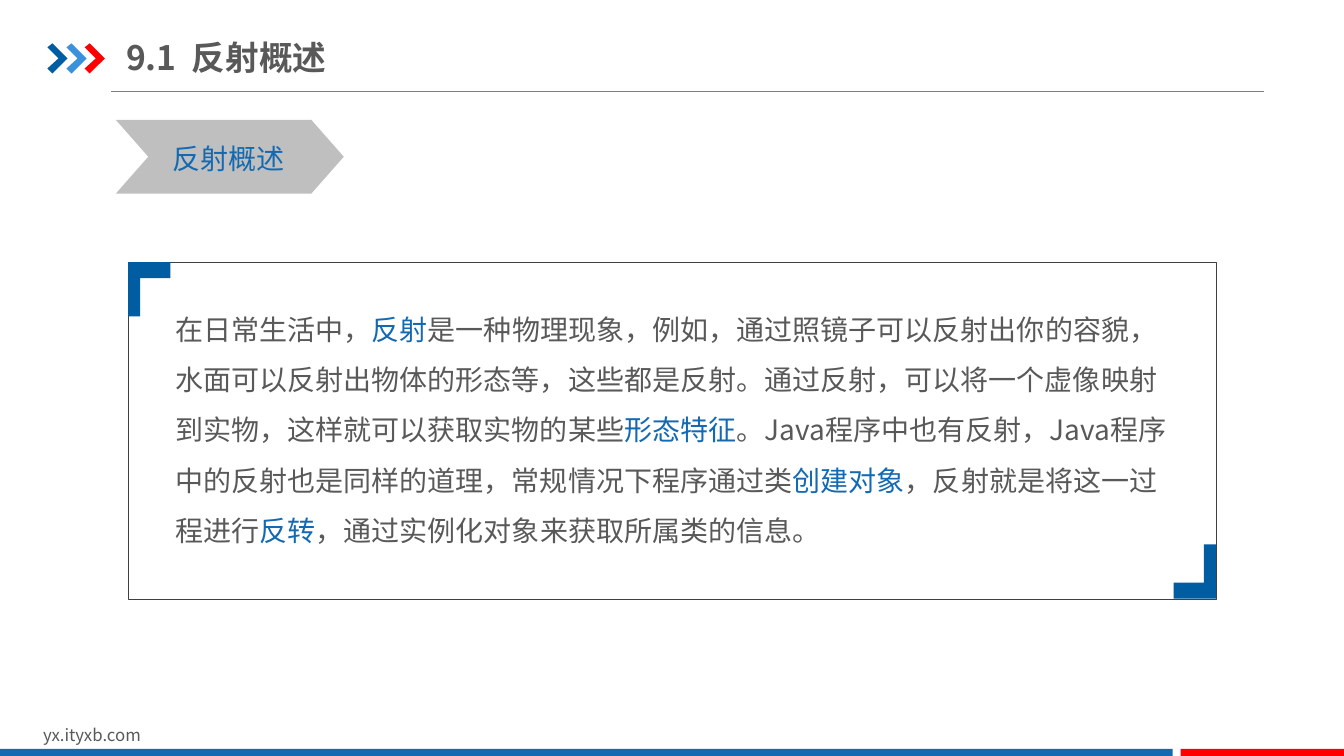
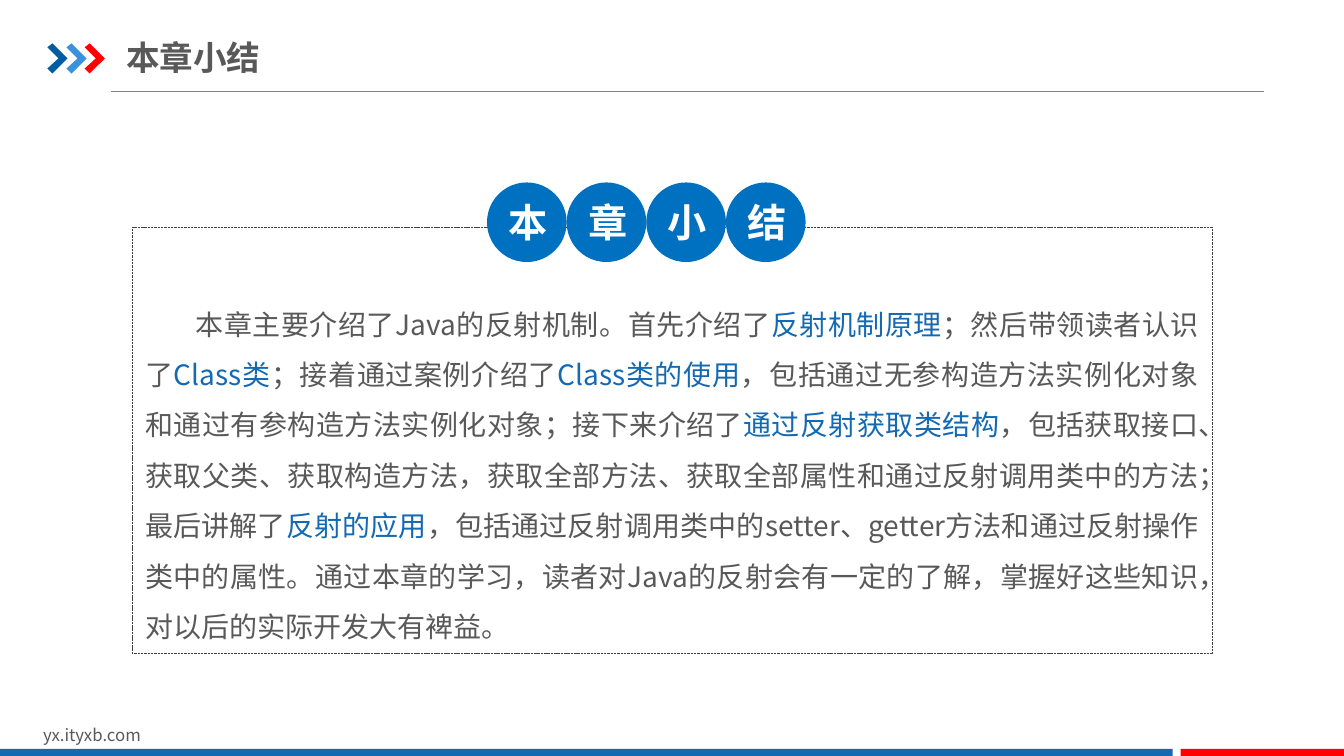
"""Build two slides on Java reflection: an overview and a chapter summary."""

import dataclasses
import typing

import pptx
import pptx.dml.color
import pptx.enum.dml
import pptx.enum.shapes
import pptx.enum.text
import pptx.oxml
import pptx.oxml.ns
import pptx.util

SCALE = 9144
SHAPE = pptx.enum.shapes.MSO_SHAPE
ALIGN = pptx.enum.text.PP_ALIGN
ANCHOR = pptx.enum.text.MSO_ANCHOR
AUTO_SIZE = pptx.enum.text.MSO_AUTO_SIZE


@dataclasses.dataclass(frozen=True)
class Theme:
    font: str = "Noto Sans CJK SC"
    text: str = "595959"
    keyword: str = "1369B2"
    navy: str = "005DA2"
    sky: str = "3992DB"
    red: str = "FF0000"
    badge: str = "0070C0"
    tab: str = "BFBFBF"
    rule: str = "808080"
    frame: str = "404040"
    white: str = "FFFFFF"
    title_size: int = 24
    badge_size: int = 28
    body_size: int = 20
    footer_size: int = 12


class Box(typing.NamedTuple):
    left: int
    top: int
    width: int
    height: int


class Block(typing.NamedTuple):
    box: Box
    fill: str


class Chevron(typing.NamedTuple):
    left: int
    fill: str


class Bracket(typing.NamedTuple):
    x: int
    y: int
    direction: int


THEME = Theme()
CHEVRONS = (Chevron(47, THEME.navy), Chevron(66, THEME.sky), Chevron(84, THEME.red))
CHEVRON_OUTLINE = ((0, 4), (5, 0), (20, 15), (5, 30), (0, 25), (11, 15))
BRACKET_OUTLINE = ((0, 0), (42, 0), (42, 16), (12, 16), (12, 54), (0, 54))
FOOTER_BANDS = (
    Block(Box(0, 743, 1163, 9), THEME.keyword),
    Block(Box(1171, 743, 163, 9), THEME.red),
)

OVERVIEW = (
    "在日常生活中，",
    "反射",
    "是一种物理现象，例如，通过照镜子可以反射出你的容貌，水面可以反射出物体的形态等，"
    "这些都是反射。通过反射，可以将一个虚像映射到实物，这样就可以获取实物的某些",
    "形态特征",
    "。Java程序中也有反射，Java程序中的反射也是同样的道理，常规情况下程序通过类",
    "创建对象",
    "，反射就是将这一过程进行",
    "反转",
    "，通过实例化对象来获取所属类的信息。",
)
SUMMARY = (
    "本章主要介绍了Java的反射机制。首先介绍了",
    "反射机制原理",
    "；然后带领读者认识了",
    "Class类",
    "；接着通过案例介绍了",
    "Class类的使用",
    "，包括通过无参构造方法实例化对象和通过有参构造方法实例化对象；接下来介绍了",
    "通过反射获取类结构",
    "，包括获取接口、获取父类、获取构造方法，获取全部方法、获取全部属性和通过反射调用类中的方法；最后讲解了",
    "反射的应用",
    "，包括通过反射调用类中的setter、getter方法和通过反射操作类中的属性。"
    "通过本章的学习，读者对Java的反射会有一定的了解，掌握好这些知识，对以后的实际开发大有裨益。",
)


def px(length: int) -> pptx.util.Emu:
    return pptx.util.Emu(length * SCALE)


def rgb(value: str) -> pptx.dml.color.RGBColor:
    return pptx.dml.color.RGBColor.from_string(value)


def assign(target: typing.Any, values: dict[str, typing.Any]) -> None:
    for name, value in values.items():
        setattr(target, name, value)


def format_frame(frame, inset_x: int = 10, inset_y: int = 5, **values) -> None:
    insets = {
        "margin_left": px(inset_x),
        "margin_right": px(inset_x),
        "margin_top": px(inset_y),
        "margin_bottom": px(inset_y),
    }
    assign(frame, {"word_wrap": True, "auto_size": AUTO_SIZE.NONE} | insets | values)


def add_run(paragraph, text: str, size: int, color: str, bold: bool = False) -> None:
    run = paragraph.add_run()
    run.text = text
    run.font.color.rgb = rgb(color)
    assign(run.font, {"size": pptx.util.Pt(size), "bold": bold, "name": THEME.font})
    east_asian = pptx.oxml.parse_xml(
        f'<a:ea {pptx.oxml.ns.nsdecls("a")} typeface="{THEME.font}"/>'
    )
    run.font._element.append(east_asian)


def add_text(slide, box: Box, **frame_values):
    frame = slide.shapes.add_textbox(*map(px, box)).text_frame
    format_frame(frame, **frame_values)
    return frame.paragraphs[0]


def add_body(slide, box: Box, parts: tuple[str, ...], indent: int = 0,
             align: ALIGN = ALIGN.LEFT, **frame_values) -> None:
    paragraph = add_text(slide, box, **frame_values)
    assign(paragraph, {"alignment": align, "line_spacing": 1.5})
    if indent:
        paragraph._p.get_or_add_pPr().set("indent", str(px(indent)))
    for index, part in enumerate(parts):
        add_run(paragraph, part, THEME.body_size, THEME.keyword if index % 2 else THEME.text)


def paint(shape, fill: str):
    shape.shadow.inherit = False
    shape.fill.solid()
    shape.fill.fore_color.rgb = rgb(fill)
    shape.line.fill.background()
    return shape


def add_block(slide, preset: SHAPE, box: Box, fill: str):
    return paint(slide.shapes.add_shape(preset, *map(px, box)), fill)


def add_outline(slide, points: list[tuple[int, int]], fill: str) -> None:
    builder = slide.shapes.build_freeform(*points[0], scale=SCALE)
    builder.add_line_segments(points[1:], close=True)
    paint(builder.convert_to_shape(), fill)


def add_frame(slide, box: Box, dash=None) -> None:
    frame = slide.shapes.add_shape(SHAPE.ROUNDED_RECTANGLE, *map(px, box))
    frame.adjustments[0] = 0
    frame.shadow.inherit = False
    frame.fill.background()
    frame.line.color.rgb = rgb(THEME.frame)
    assign(frame.line, {"width": pptx.util.Pt(0.25), "dash_style": dash})


def add_page(deck, title: str, title_width: int):
    slide = deck.slides.add_slide(deck.slide_layouts[5])
    heading = slide.shapes.title
    place = dict(zip(("left", "top", "width", "height"),
                     map(px, Box(125, 29, title_width, 55))))
    assign(heading, place)
    format_frame(heading.text_frame, 0, 7, vertical_anchor=ANCHOR.MIDDLE)
    paragraph = heading.text_frame.paragraphs[0]
    paragraph.alignment = ALIGN.LEFT
    add_run(paragraph, title, THEME.title_size, THEME.text, bold=True)

    rule = slide.shapes.add_connector(
        pptx.enum.shapes.MSO_CONNECTOR.STRAIGHT, *map(px, (110, 91, 1254, 91))
    )
    rule.line.color.rgb = rgb(THEME.rule)
    rule.line.width = pptx.util.Pt(0.75)
    rule._element.spPr.append(
        pptx.oxml.parse_xml(f'<a:effectLst {pptx.oxml.ns.nsdecls("a")}/>')
    )
    for chevron in CHEVRONS:
        points = [(chevron.left + x, 43 + y) for x, y in CHEVRON_OUTLINE]
        add_outline(slide, points, chevron.fill)

    site = add_text(slide, Box(33, 714, 318, 30), auto_size=AUTO_SIZE.SHAPE_TO_FIT_TEXT)
    add_run(site, "yx.ityxb.com", THEME.footer_size, THEME.text)
    for band in FOOTER_BANDS:
        add_block(slide, SHAPE.RECTANGLE, band.box, band.fill)
    return slide


def build_overview(deck) -> None:
    slide = add_page(deck, "9.1  反射概述", 426)
    tab = add_block(slide, SHAPE.CHEVRON, Box(115, 119, 226, 73), THEME.tab)
    tab.adjustments[0] = 0.44
    add_body(slide, Box(164, 288, 1008, 273), OVERVIEW)
    topic = add_text(slide, Box(161, 135, 131, 44), word_wrap=False,
                     auto_size=AUTO_SIZE.SHAPE_TO_FIT_TEXT)
    add_run(topic, "反射概述", THEME.body_size, THEME.keyword)

    panel = Box(127, 260, 1079, 334)
    add_frame(slide, panel)
    brackets = (
        Bracket(panel.left, panel.top, 1),
        Bracket(panel.left + panel.width, panel.top + panel.height, -1),
    )
    for bracket in brackets:
        points = [(bracket.x + bracket.direction * x, bracket.y + bracket.direction * y)
                  for x, y in BRACKET_OUTLINE]
        add_outline(slide, points, THEME.navy)


def build_summary(deck) -> None:
    slide = add_page(deck, "本章小结", 620)
    add_body(slide, Box(131, 281, 1071, 367), SUMMARY, indent=50, align=ALIGN.JUSTIFY,
             inset_x=13, inset_y=7, auto_size=AUTO_SIZE.SHAPE_TO_FIT_TEXT)
    add_frame(slide, Box(131, 225, 1071, 423), pptx.enum.dml.MSO_LINE.SQUARE_DOT)
    diameter = 79
    for index, character in enumerate("本章小结"):
        circle = Box(483 + index * diameter, 181, diameter, diameter)
        badge = add_block(slide, SHAPE.OVAL, circle, THEME.badge)
        format_frame(badge.text_frame, vertical_anchor=ANCHOR.MIDDLE)
        paragraph = badge.text_frame.paragraphs[0]
        paragraph.alignment = ALIGN.CENTER
        add_run(paragraph, character, THEME.badge_size, THEME.white, bold=True)


def main() -> None:
    deck = pptx.Presentation()
    assign(deck, {"slide_width": px(1333), "slide_height": px(750)})
    build_overview(deck)
    build_summary(deck)
    deck.save("out.pptx")


if __name__ == "__main__":
    main()
